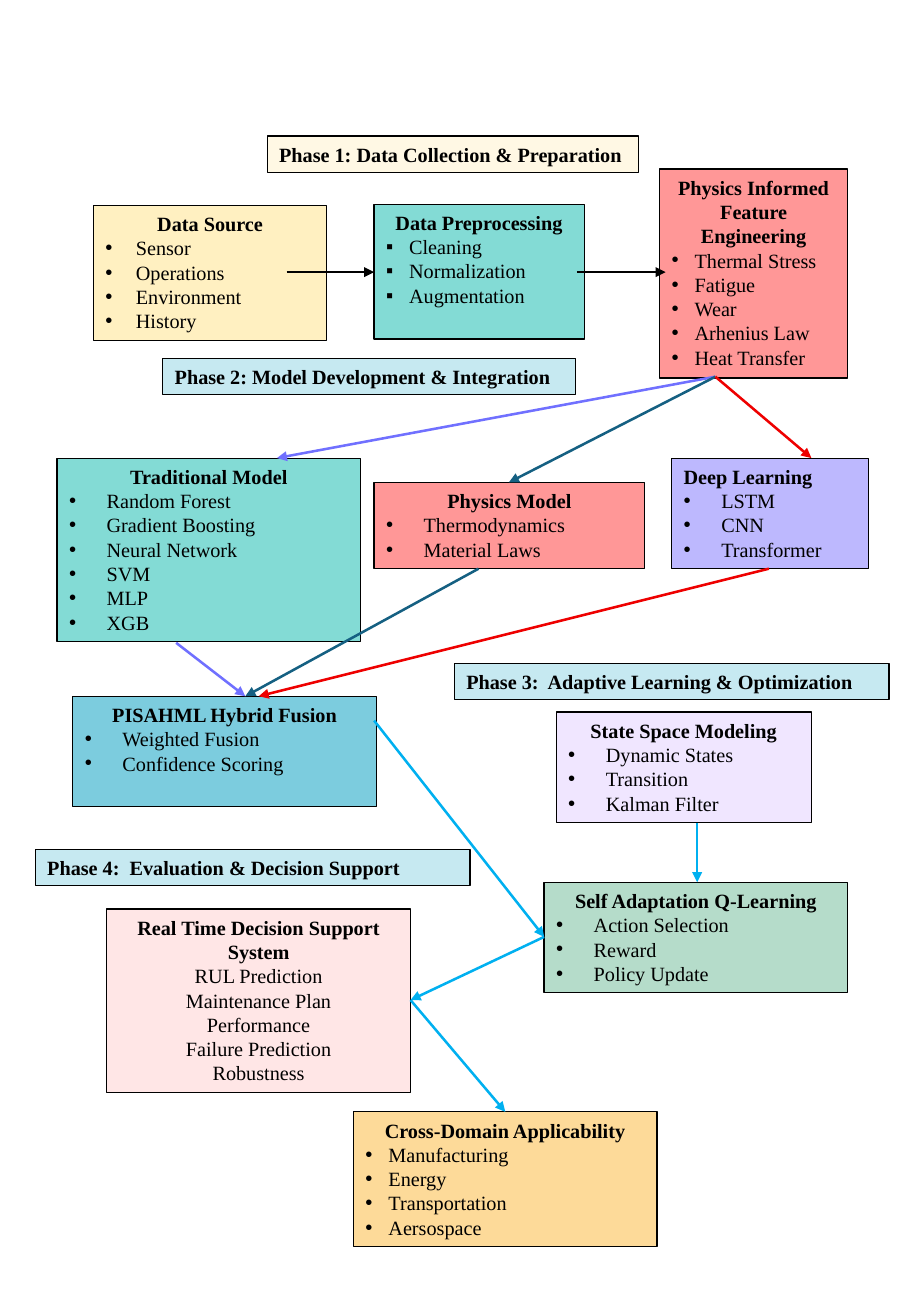
from lxml import etree
from pptx import Presentation
from pptx.dml.color import RGBColor
from pptx.enum.shapes import MSO_CONNECTOR, MSO_SHAPE
from pptx.enum.text import MSO_ANCHOR, PP_ALIGN
from pptx.oxml.ns import qn
from pptx.util import Inches, Pt

RECT = MSO_SHAPE.RECTANGLE
LINE = MSO_CONNECTOR.STRAIGHT
TOP = MSO_ANCHOR.TOP
LEFT, MID = PP_ALIGN.LEFT, PP_ALIGN.CENTER

FONT = "Times New Roman"
BLACK = RGBColor(0x00, 0x00, 0x00)
CREAM = RGBColor(0xFF, 0xF8, 0xE4)
YELLOW = RGBColor(0xFF, 0xF0, 0xC1)
TEAL = RGBColor(0x83, 0xDB, 0xD5)
CORAL = RGBColor(0xFF, 0x97, 0x97)
ICE = RGBColor(0xC6, 0xE9, 0xF1)
VIOLET = RGBColor(0xBD, 0xB8, 0xFE)
LILAC = RGBColor(0xF0, 0xE6, 0xFF)
GREEN = RGBColor(0xB5, 0xDC, 0xCA)
BLUE = RGBColor(0x7C, 0xCC, 0xDE)
PINK = RGBColor(0xFF, 0xE6, 0xE6)
ORANGE = RGBColor(0xFD, 0xDA, 0x99)
INDIGO = RGBColor(0x70, 0x70, 0xFF)
NAVY = RGBColor(0x15, 0x60, 0x82)
RED = RGBColor(0xEE, 0x00, 0x00)
SKY = RGBColor(0x00, 0xB0, 0xF0)


def add_text(para, text, bold=False, align=LEFT, bullet=None, indent=0):
    para.alignment = align
    if bullet:
        props = para._p.get_or_add_pPr()
        props.set("marL", str(Inches(indent)))
        props.set("indent", str(-Inches(indent)))
        etree.SubElement(props, qn("a:buFont")).set("typeface", "Arial")
        etree.SubElement(props, qn("a:buChar")).set("char", bullet)
    run = para.add_run()
    run.text = text
    run.font.name = FONT
    run.font.size = Pt(12)
    run.font.bold = bold
    run.font.color.rgb = BLACK


def add_box(left, top, width, height, fill):
    box = slide.shapes.add_shape(
        RECT, Inches(left), Inches(top), Inches(width), Inches(height))
    box.shadow.inherit = False
    box.fill.solid()
    box.fill.fore_color.rgb = fill
    box.line.color.rgb = BLACK
    box.line.width = Pt(0.75)
    frame = box.text_frame
    frame.word_wrap = True
    frame.vertical_anchor = TOP
    return frame


prs = Presentation()
prs.slide_width, prs.slide_height = Inches(7.5), Inches(10.83)
slide = prs.slides.add_slide(prs.slide_layouts[6])

# Phase labels
phases = [
    (2.2, 1.12, 3.06, CREAM, "Phase 1: Data Collection & Preparation"),
    (1.34, 2.95, 3.4, ICE, "Phase 2: Model Development & Integration"),
    (3.74, 5.46, 3.58, ICE, "Phase 3:  Adaptive Learning & Optimization"),
    (0.29, 6.99, 3.58, ICE, "Phase 4:  Evaluation & Decision Support"),
]
for left, top, width, fill, label in phases:
    frame = add_box(left, top, width, 0.3, fill)
    add_text(frame.paragraphs[0], label, bold=True)

# Step boxes: place, fill, heading, heading align, bullet, indent, items
steps = [
    ((0.77, 1.69, 1.92, 1.11), YELLOW, "Data Source", MID, "•", 0.25,
     ["Sensor", "Operations", "Environment", "History"]),
    ((3.08, 1.68, 1.73, 1.11), TEAL, "Data Preprocessing", MID, "▪", 0.19,
     ["Cleaning", "Normalization", "Augmentation"]),
    ((5.43, 1.39, 1.55, 1.72), CORAL, "Physics Informed Feature Engineering",
     MID, "•", 0.19,
     ["Thermal Stress", "Fatigue", "Wear", "Arhenius Law", "Heat Transfer"]),
    ((0.47, 3.77, 2.5, 1.51), TEAL, "Traditional Model", MID, "•", 0.31,
     ["Random Forest", "Gradient Boosting", "Neural Network", "SVM", "MLP",
      "XGB"]),
    ((3.08, 3.97, 2.23, 0.71), CORAL, "Physics Model", MID, "•", 0.31,
     ["Thermodynamics", "Material Laws"]),
    ((5.53, 3.77, 1.62, 0.91), VIOLET, "Deep Learning", LEFT, "•", 0.31,
     ["LSTM", "CNN", "Transformer"]),
    ((4.58, 5.86, 2.1, 0.91), LILAC, "State Space Modeling", MID, "•", 0.31,
     ["Dynamic States", "Transition", "Kalman Filter"]),
    ((4.48, 7.26, 2.5, 0.91), GREEN, "Self Adaptation Q-Learning", MID, "•",
     0.31, ["Action Selection", "Reward", "Policy Update"]),
    ((0.6, 5.73, 2.5, 0.91), BLUE, "PISAHML Hybrid Fusion", MID, "•", 0.31,
     ["Weighted Fusion", "Confidence Scoring"]),
    ((0.88, 7.48, 2.5, 1.51), PINK, "Real Time Decision Support System", MID,
     None, 0, ["RUL Prediction", "Maintenance Plan", "Performance",
               "Failure Prediction", "Robustness"]),
    ((2.91, 9.15, 2.5, 1.11), ORANGE, "Cross-Domain Applicability", MID, "•",
     0.19, ["Manufacturing", "Energy", "Transportation", "Aersospace"]),
]
for place, fill, head, align, bullet, indent, items in steps:
    frame = add_box(*place, fill)
    add_text(frame.paragraphs[0], head, bold=True, align=align)
    for item in items:
        add_text(frame.add_paragraph(), item, align=LEFT if bullet else MID,
                 bullet=bullet, indent=indent)

# Arrows: start, end, colour
arrows = [
    ((2.36, 2.24), (3.08, 2.24), BLACK),
    ((4.75, 2.24), (5.48, 2.24), BLACK),
    ((5.89, 3.1), (2.28, 3.77), INDIGO),
    ((5.89, 3.1), (4.19, 3.97), NAVY),
    ((5.89, 3.1), (6.68, 3.77), RED),
    ((1.45, 5.29), (2.02, 5.73), INDIGO),
    ((3.94, 4.68), (2.02, 5.73), NAVY),
    ((6.33, 4.68), (2.13, 5.73), RED),
    ((5.74, 6.77), (5.74, 7.26), SKY),
    ((3.08, 5.93), (4.48, 7.71), SKY),
    ((4.48, 7.71), (3.38, 8.23), SKY),
    ((3.38, 8.23), (4.16, 9.15), SKY),
]
for start, end, color in arrows:
    arrow = slide.shapes.add_connector(
        LINE, *[Inches(n) for n in start + end])
    arrow.line.color.rgb = color
    arrow.line.width = Pt(1.5)
    props = arrow._element.spPr
    etree.SubElement(props.find(qn("a:ln")), qn("a:tailEnd")).set(
        "type", "triangle")
    etree.SubElement(props, qn("a:effectLst"))

prs.save("out.pptx")
